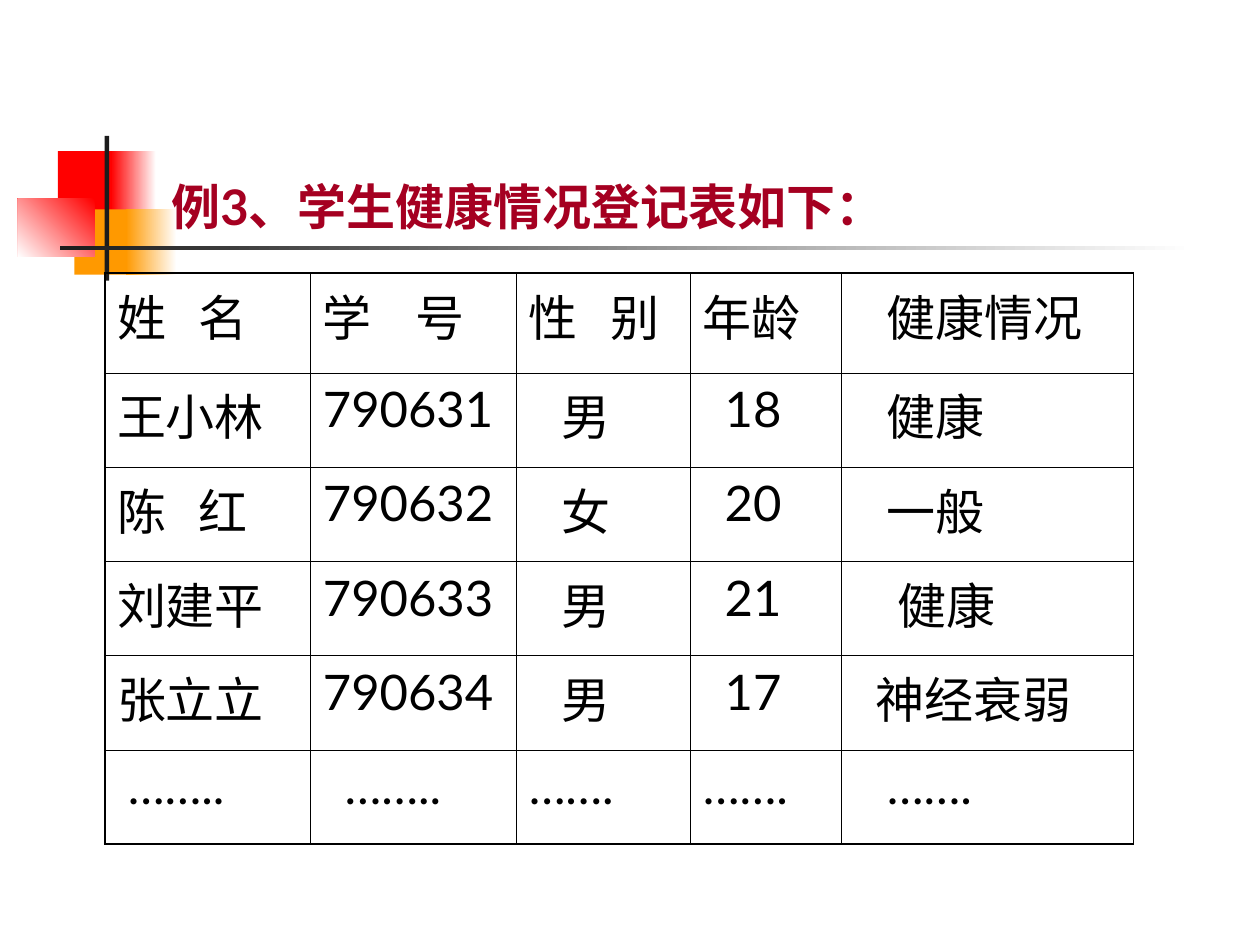
import pptx
import pptx.dml.color
import pptx.enum.shapes
import pptx.enum.text
import pptx.oxml
import pptx.oxml.ns
import pptx.util
from pptx.util import Cm

FONT = "Lato"
TEXT_SIZE = 28
SPACE = 0.22
INK = "1C1C1C"
RED, ORANGE, WHITE, BLACK = "FF0000", "FF9900", "FFFFFF", "000000"
DECORATION = [
    (1.17, 3.05, 1.22, 1.32, RED, None, 0),
    (2.24, 3.05, 0.91, 1.32, WHITE, RED, 180),
    (1.5, 4.22, 1.17, 1.32, ORANGE, None, 0),
    (2.54, 4.22, 1.02, 1.32, WHITE, ORANGE, 180),
    (0.36, 4.01, 1.55, 1.17, RED, WHITE, 225),
    (2.11, 2.74, 0.09, 2.92, INK, None, 0),
    (1.22, 4.95, 22.86, 0.09, WHITE, INK, 180),
]
COLUMN_WIDTHS = [4.15, 4.15, 3.51, 3.05, 5.88]
ROW_HEIGHTS = [2.01] + [1.9] * 5
RECORDS = [
    ["姓\t名", "学\t号", "性\t别", "年龄", "健康情况"],
    ["王小林", "790631", "男", "18", "健康"],
    ["陈\t红", "790632", "女", "20", "一般"],
    ["刘建平", "790633", "男", "21", "健康"],
    ["张立立", "790634", "男", "17", "神经衰弱"],
    ["……..", "……..", "…….", "…….", "……."],
]
INDENTS = [
    [0, 0, 0, 0, 3],
    [0, 0, 3, 2, 3],
    [0, 0, 3, 2, 3],
    [0, 0, 3, 2, 4],
    [0, 0, 3, 2, 2],
    [1, 2, 0, 0, 3],
]
TAB_GAPS = [3, 4, 3, 0, 0]


def colour(code):
    """Turn a hex string into a colour."""
    return pptx.dml.color.RGBColor.from_string(code)


def write(frame, text, size=TEXT_SIZE, ink=BLACK, bold=False, tab=None):
    """Put one formatted paragraph into a text frame."""
    para = frame.paragraphs[0]
    para.alignment = pptx.enum.text.PP_ALIGN.LEFT
    if tab:
        para._p.get_or_add_pPr().append(pptx.oxml.parse_xml(
            f'<a:tabLst {pptx.oxml.ns.nsdecls("a")}>'
            f'<a:tab pos="{Cm(tab)}" algn="l"/></a:tabLst>'))
    span = para.add_run()
    span.text = text
    span.font.name = FONT
    span.font.size = pptx.util.Pt(size)
    span.font.bold = bold
    span.font.color.rgb = colour(ink)


class Page:
    """Hold the current slide and the style of its elements."""

    thin, thick = 0.45, 1.08

    def __init__(self, deck):
        """Add a title-only slide to the deck."""
        self.slide = deck.slides.add_slide(deck.slide_layouts[5])

    def block(self, left, top, width, height, start, end, angle):
        """Draw a plain or gradient rectangle."""
        box = self.slide.shapes.add_shape(
            pptx.enum.shapes.MSO_SHAPE.RECTANGLE,
            Cm(left), Cm(top), Cm(width), Cm(height))
        box.shadow.inherit = False
        box.line.fill.background()
        if end is None:
            box.fill.solid()
            box.fill.fore_color.rgb = colour(start)
        else:
            box.fill.gradient()
            box.fill.gradient_angle = angle
            for stop, code in zip(box.fill.gradient_stops, (start, end)):
                stop.color.rgb = colour(code)

    def title(self, text, left, top, width, height):
        """Place the title in front of the shapes drawn so far."""
        box = self.slide.shapes.title
        box.left, box.top, box.width, box.height = map(Cm, (left, top, width, height))
        box.text_frame.auto_size = pptx.enum.text.MSO_AUTO_SIZE.NONE
        box.text_frame.vertical_anchor = pptx.enum.text.MSO_ANCHOR.BOTTOM
        write(box.text_frame, text, ink="A50021", bold=True)
        self.slide.shapes._spTree.append(box.element)

    def border(self, cell, outer):
        """Draw the cell edges, thick on the outside of the table."""
        properties = cell._tc.get_or_add_tcPr()
        for side in "LRTB":
            width = pptx.util.Pt(self.thick if side in outer else self.thin)
            properties.append(pptx.oxml.parse_xml(
                f'<a:ln{side} {pptx.oxml.ns.nsdecls("a")} w="{width}"><a:solidFill>'
                f'<a:srgbClr val="{BLACK}"/></a:solidFill></a:ln{side}>'))

    def table(self, left, top):
        """Build the register of student records."""
        rows, columns = len(ROW_HEIGHTS), len(COLUMN_WIDTHS)
        grid = self.slide.shapes.add_table(
            rows, columns, Cm(left), Cm(top),
            Cm(sum(COLUMN_WIDTHS)), Cm(sum(ROW_HEIGHTS))).table
        grid.first_row = grid.horz_banding = False
        for column, width in zip(grid.columns, COLUMN_WIDTHS):
            column.width = Cm(width)
        for y, height in enumerate(ROW_HEIGHTS):
            grid.rows[y].height = Cm(height)
            for x, text in enumerate(RECORDS[y]):
                cell = grid.cell(y, x)
                edges = {"L": x == 0, "R": x == columns - 1,
                         "T": y == 0, "B": y == rows - 1}
                self.border(cell, [side for side in edges if edges[side]])
                cell.fill.background()
                cell.margin_left = Cm(0.25 + INDENTS[y][x] * SPACE)
                tab = 0.99 + TAB_GAPS[x] * SPACE if "\t" in text else None
                write(cell.text_frame, text, tab=tab)


def main():
    """Build and save the deck."""
    deck = pptx.Presentation()
    deck.slide_width, deck.slide_height = Cm(25.4), Cm(19.05)
    page = Page(deck)
    for item in DECORATION:
        page.block(*item)
    page.title("例3、学生健康情况登记表如下：", 3.2, 2.72, 21.64, 2.16)
    page.table(2.11, 5.51)
    deck.save("out.pptx")


if __name__ == "__main__":
    main()
